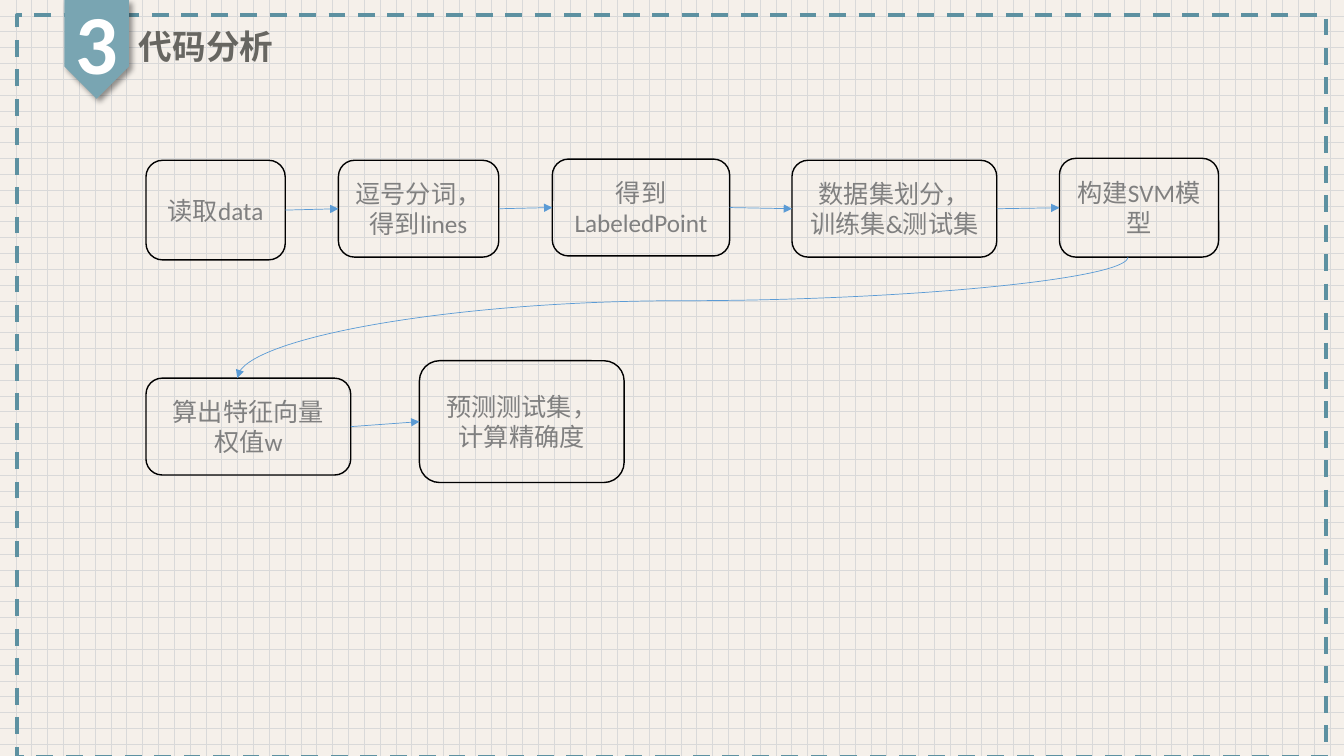
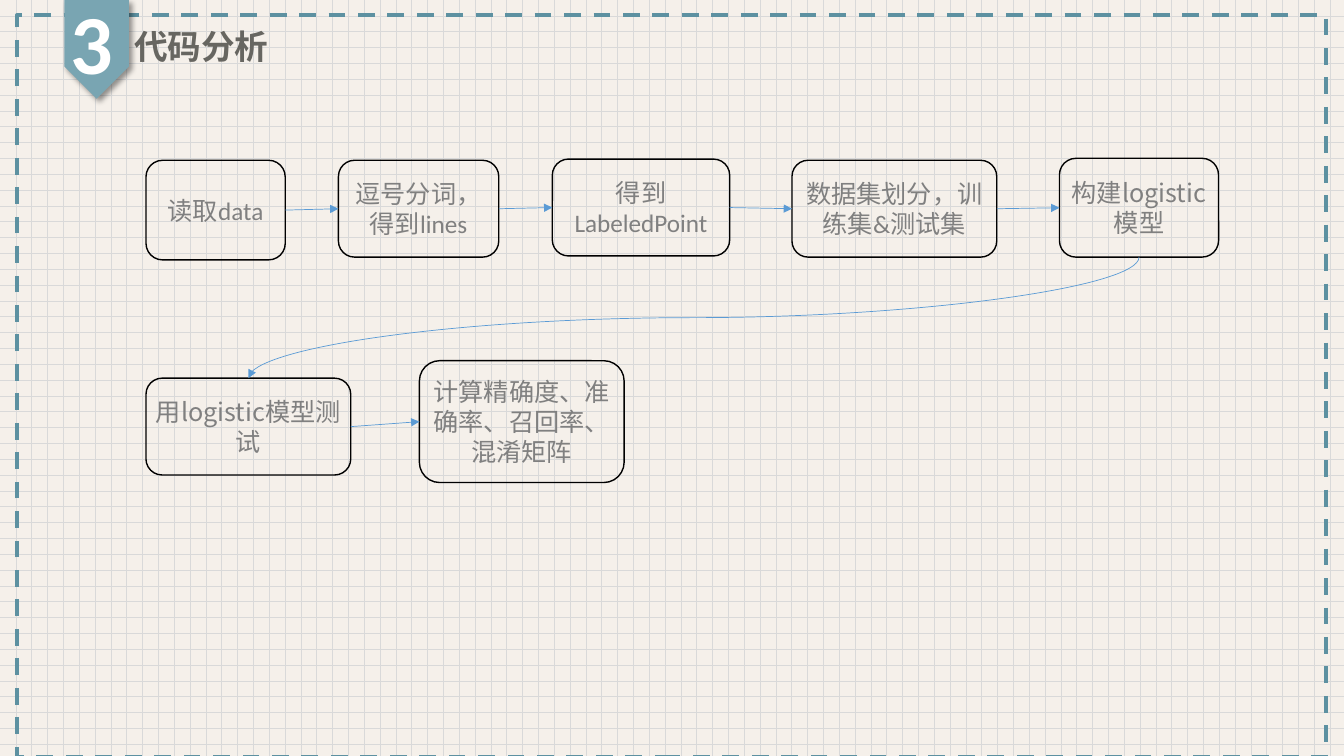
from dataclasses import dataclass
from itertools import pairwise

from lxml.etree import SubElement
from pptx import Presentation
from pptx.dml.color import RGBColor
from pptx.enum.dml import MSO_LINE_DASH_STYLE as Dash, MSO_PATTERN_TYPE as Pattern
from pptx.enum.shapes import MSO_AUTO_SHAPE_TYPE as Preset, MSO_CONNECTOR_TYPE as Link
from pptx.enum.text import MSO_ANCHOR as Anchor, MSO_AUTO_SIZE as AutoSize, PP_ALIGN as Align
from pptx.oxml.ns import qn
from pptx.shapes.autoshape import Shape
from pptx.shapes.connector import Connector
from pptx.slide import Slide, SlideLayout
from pptx.util import Cm, Pt

PAPER = RGBColor(0xF5, 0xF0, 0xEA)
GRID = RGBColor(0xD9, 0xD9, 0xD9)
FRAME = RGBColor(0x5D, 0x91, 0xA1)
BADGE = RGBColor(0x79, 0xA5, 0xB2)
HEADING = RGBColor(0x67, 0x66, 0x61)
STEP_TEXT = RGBColor(0x80, 0x80, 0x80)
ARROW = RGBColor(0x5B, 0x9B, 0xD5)
WHITE = RGBColor(0xFF, 0xFF, 0xFF)
BLACK = RGBColor(0, 0, 0)
CALIBRI = "Calibri"
NOTO = "Noto Sans CJK SC"
LEFT_SITE, RIGHT_SITE = 1, 3


@dataclass(frozen=True)
class Box:
    """A rectangle in centimetres."""

    left: float
    top: float
    width: float
    height: float

    def lengths(self) -> tuple[Cm, Cm, Cm, Cm]:
        """Return the rectangle as lengths."""
        return Cm(self.left), Cm(self.top), Cm(self.width), Cm(self.height)


@dataclass(frozen=True)
class Step:
    """The wording of one flow step and the font of its Latin letters."""

    text: str
    latin: str = CALIBRI


@dataclass(frozen=True)
class Flow:
    """One slide: its steps, text inset and the bend of the return arrow."""

    steps: tuple[Step, ...]
    inset: float
    return_shift: float
    return_bend: int


FRAME_BOX = Box(0.43, 0.38, 32.99, 18.69)
TITLE_BOX = Box(3.25, 0.51, 3.94, 1.27)
BADGE_BOX = Box(1.19, 0.43, 2.49, 1.63)
NUMBER_BOX = Box(1.65, -0.38, 1.6, 2.82)
UPPER_ROW = (
    Box(3.68, 4.04, 3.51, 2.51),
    Box(8.53, 4.04, 4.04, 2.44),
    Box(13.92, 4.01, 4.47, 2.44),
    Box(19.96, 4.04, 5.16, 2.44),
    Box(26.7, 3.99, 4.01, 2.49),
)
LOWER_ROW = (Box(3.68, 9.53, 5.16, 2.44), Box(10.57, 9.09, 5.16, 3.07))

PREPARATION = (
    Step("读取data"),
    Step("逗号分词，得到lines"),
    Step("得到LabeledPoint"),
    Step("数据集划分，训练集&测试集"),
)
FLOWS = (
    Flow(
        steps=PREPARATION + (
            Step("构建SVM模型"),
            Step("算出特征向量权值w"),
            Step("预测测试集，计算精确度"),
        ),
        inset=0.25,
        return_shift=-0.28,
        return_bend=36000,
    ),
    Flow(
        steps=PREPARATION + (
            Step("构建logistic模型", NOTO),
            Step("用logistic模型测试", NOTO),
            Step("计算精确度、准确率、召回率、混淆矩阵", NOTO),
        ),
        inset=0.13,
        return_shift=0,
        return_bend=50000,
    ),
)


def put_text(shape: Shape, text: str, *, size: float, color: RGBColor, latin: str,
             inset: float, bold: bool = False, align: Align = Align.LEFT,
             anchor: Anchor = Anchor.TOP, wrap: bool = False) -> None:
    """Write one formatted paragraph into a shape."""
    frame = shape.text_frame
    frame.word_wrap = wrap
    frame.auto_size = AutoSize.NONE
    frame.vertical_anchor = anchor
    frame.margin_left = frame.margin_right = Cm(inset)
    frame.margin_top = frame.margin_bottom = Cm(0.13)
    paragraph = frame.paragraphs[0]
    paragraph.alignment = align
    run = paragraph.add_run()
    run.text = text
    run.font.size = Pt(size)
    run.font.bold = bold
    run.font.color.rgb = color
    run.font.name = latin
    properties = shape.element.find(".//" + qn("a:rPr"))
    SubElement(properties, qn("a:ea"), typeface=NOTO)


def add_outline(slide: Slide, preset: Preset, box: Box, color: RGBColor, width: float) -> Shape:
    """Add an unfilled preset shape with a plain outline."""
    outline = slide.shapes.add_shape(preset, *box.lengths())
    outline.fill.background()
    outline.line.color.rgb = color
    outline.line.width = Pt(width)
    outline.shadow.inherit = False
    return outline


def add_page_frame(slide: Slide, layout: SlideLayout) -> None:
    """Draw the dashed frame and hand it over to the layout."""
    page_frame = add_outline(slide, Preset.RECTANGLE, FRAME_BOX, FRAME, 3)
    page_frame.line.dash_style = Dash.DASH
    page_frame.element.nvSpPr.cNvPr.id = 20
    layout.shapes.element.append(page_frame.element)


def set_paper(layout: SlideLayout) -> None:
    """Give the layout its grid paper background."""
    paper = layout.background.fill
    paper.patterned()
    paper.pattern = Pattern.from_xml("dotGrid")
    paper.fore_color.rgb = GRID
    paper.back_color.rgb = PAPER


def add_heading(slide: Slide, number: str, heading: str, inset: float) -> None:
    """Add the title and the numbered badge beside it."""
    title = slide.shapes.title
    title.left, title.top, title.width, title.height = TITLE_BOX.lengths()
    put_text(title, heading, size=24, color=HEADING, latin=NOTO, inset=inset, bold=True)
    badge = slide.shapes.add_shape(Preset.PENTAGON, *BADGE_BOX.lengths())
    badge.rotation = 90
    badge.fill.solid()
    badge.fill.fore_color.rgb = BADGE
    badge.line.fill.background()
    badge.shadow.inherit = False
    effects = badge.element.spPr.find(qn("a:effectLst"))
    shadow = SubElement(effects, qn("a:outerShdw"), blurRad=str(Pt(4)), dist=str(Pt(3)),
                        dir="2700000", algn="tl", rotWithShape="0")
    shade = SubElement(shadow, qn("a:srgbClr"), val=str(BLACK))
    SubElement(shade, qn("a:alpha"), val="40000")
    numeral = slide.shapes.add_textbox(*NUMBER_BOX.lengths())
    put_text(numeral, number, size=60, color=WHITE, latin=CALIBRI, inset=inset, bold=True)


def add_step(slide: Slide, box: Box, step: Step, inset: float) -> Shape:
    """Add one rounded flow step."""
    node = add_outline(slide, Preset.ROUNDED_RECTANGLE, box, BLACK, 1)
    put_text(node, step.text, size=18, color=STEP_TEXT, latin=step.latin, inset=inset,
             align=Align.CENTER, anchor=Anchor.MIDDLE, wrap=True)
    return node


def style_arrow(arrow: Connector) -> None:
    """Colour a connector and give it an arrowhead."""
    arrow.line.color.rgb = ARROW
    arrow.line.width = Pt(0.5)
    properties = arrow.element.spPr
    SubElement(properties.find(qn("a:ln")), qn("a:tailEnd"), type="triangle")
    SubElement(properties, qn("a:effectLst"))


def add_row_arrows(slide: Slide, row: list[Shape]) -> None:
    """Join neighbouring steps of a row from left to right."""
    for source, target in pairwise(row):
        arrow = slide.shapes.add_connector(Link.STRAIGHT, 0, 0, 0, 0)
        arrow.begin_connect(source, RIGHT_SITE)
        arrow.end_connect(target, LEFT_SITE)
        style_arrow(arrow)


def add_return_arrow(slide: Slide, source: Box, target: Box, shift: float, bend: int) -> None:
    """Curve from the bottom of one step to the top of a lower one."""
    start_x = source.left + source.width / 2 + shift
    end_x = target.left + target.width / 2 + shift
    start_y, end_y = source.top + source.height, target.top
    middle_x, middle_y = (start_x + end_x) / 2, (start_y + end_y) / 2
    half_drop, half_run = (end_y - start_y) / 2, (start_x - end_x) / 2
    arrow = slide.shapes.add_connector(
        Link.CURVE, Cm(middle_x - half_drop), Cm(middle_y - half_run),
        Cm(middle_x + half_drop), Cm(middle_y + half_run))
    properties = arrow.element.spPr
    properties.find(qn("a:xfrm")).set("rot", "5400000")
    adjustments = properties.find(".//" + qn("a:avLst"))
    SubElement(adjustments, qn("a:gd"), name="adj1", fmla=f"val {bend}")
    style_arrow(arrow)


def add_flow(slide: Slide, flow: Flow) -> None:
    """Draw the steps of a flow and the arrows between them."""
    nodes = [add_step(slide, box, step, flow.inset)
             for box, step in zip(UPPER_ROW + LOWER_ROW, flow.steps)]
    turn = len(UPPER_ROW)
    add_row_arrows(slide, nodes[:turn])
    add_return_arrow(slide, UPPER_ROW[-1], LOWER_ROW[0], flow.return_shift, flow.return_bend)
    add_row_arrows(slide, nodes[turn:])


def main() -> None:
    """Build and save the presentation."""
    deck = Presentation()
    deck.slide_width, deck.slide_height = Cm(33.87), Cm(19.05)
    layout = deck.slide_layouts.get_by_name("Title Only")
    set_paper(layout)
    slides = [deck.slides.add_slide(layout) for _ in FLOWS]
    add_page_frame(slides[0], layout)
    for slide, flow in zip(slides, FLOWS):
        add_heading(slide, "3", "代码分析", flow.inset)
        add_flow(slide, flow)
    deck.save("out.pptx")


if __name__ == "__main__":
    main()
